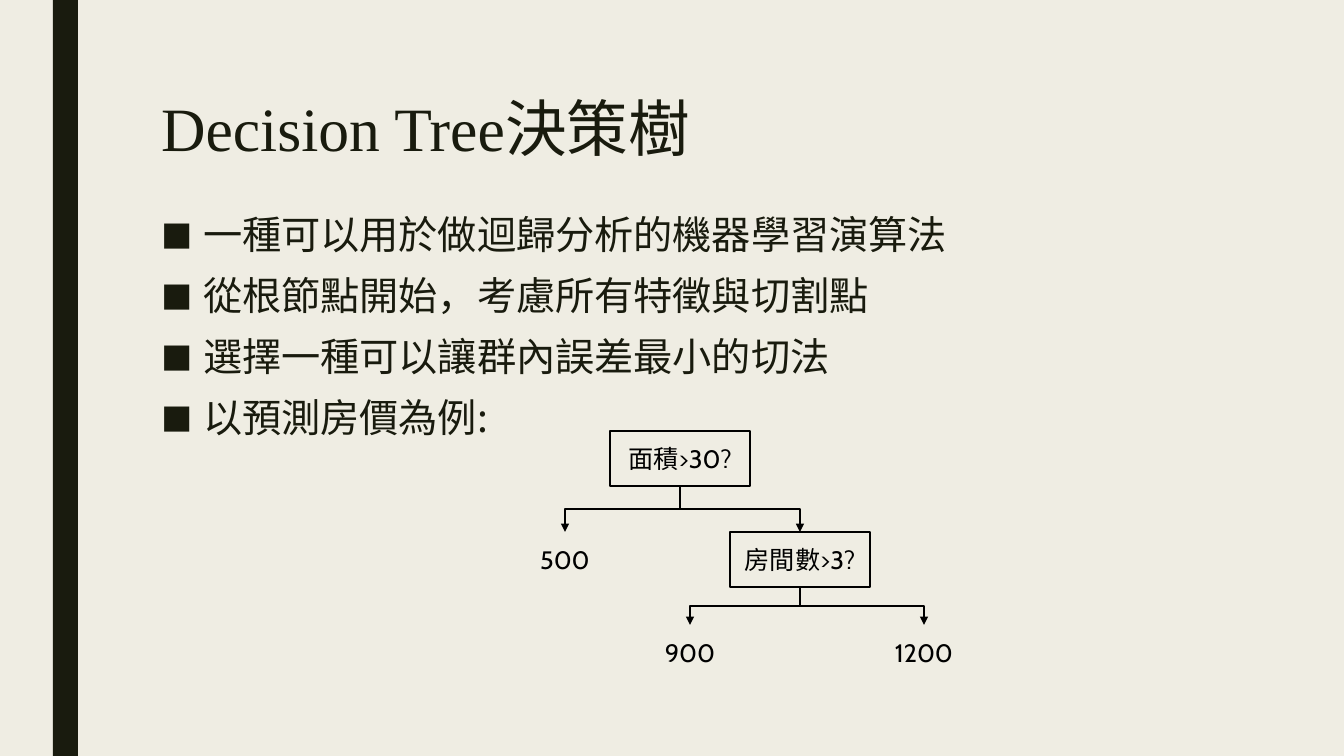
from lxml import etree
from pptx import Presentation
from pptx.dml.color import RGBColor
from pptx.enum.shapes import MSO_CONNECTOR, MSO_SHAPE
from pptx.enum.text import MSO_ANCHOR, MSO_AUTO_SIZE, PP_ALIGN
from pptx.oxml.ns import qn
from pptx.util import Emu, Pt

ELBOW, RECTANGLE = MSO_CONNECTOR.ELBOW, MSO_SHAPE.RECTANGLE
MIDDLE, TOP, NO_AUTOFIT = MSO_ANCHOR.MIDDLE, MSO_ANCHOR.TOP, MSO_AUTO_SIZE.NONE
LEFT, CENTER = PP_ALIGN.LEFT, PP_ALIGN.CENTER

CREAM = RGBColor(0xEF, 0xED, 0xE3)
INK = RGBColor(0x19, 0x1B, 0x0E)
BLACK = RGBColor(0, 0, 0)
SERIF, CJK, LABEL = "Times New Roman", "Noto Sans CJK SC", "Cabin"

SLIDE_WIDTH, SLIDE_HEIGHT = 1344, 756
NODE_WIDTH, NODE_HEIGHT = 140, 55
BOTTOM_SIDE, TOP_SIDE = 2, 0


def px(length):
    return Emu(round(length * 12192000 / SLIDE_WIDTH))


class TreeSlide:
    def __init__(self, deck):
        self.slide = deck.slides.add_slide(deck.slide_layouts[1])
        background = self.slide.background.fill
        background.solid()
        background.fore_color.rgb = CREAM

    def set_font(self, paragraph, size, latin, color):
        font = paragraph.font
        font.size, font.name = Pt(size), latin
        font.color.rgb = color
        east_asian = etree.Element(qn("a:ea"), typeface=CJK)
        paragraph._p.pPr.find(qn("a:defRPr")).find(qn("a:latin")).addnext(east_asian)

    def place(self, placeholder, left, top, width, height, anchor):
        placeholder.left, placeholder.top = px(left), px(top)
        placeholder.width, placeholder.height = px(width), px(height)
        frame = placeholder.text_frame
        frame.auto_size, frame.vertical_anchor = NO_AUTOFIT, anchor
        return frame

    def bar(self, left, width):
        bar = self.slide.shapes.add_shape(RECTANGLE, px(left), 0, px(width), px(SLIDE_HEIGHT))
        bar.shadow.inherit = False
        bar.fill.solid()
        bar.fill.fore_color.rgb = INK
        bar.line.fill.background()

    def title(self, text):
        frame = self.place(self.slide.shapes.title, 151, 76, 1142, 112, MIDDLE)
        frame.text = text
        heading = frame.paragraphs[0]
        heading.alignment, heading.line_spacing = LEFT, 0.89
        self.set_font(heading, 44, SERIF, INK)

    def bullets(self, points):
        frame = self.place(self.slide.placeholders[1], 151, 209, 1142, 514, TOP)
        frame.text = "\n".join(points)
        for index, point in enumerate(frame.paragraphs):
            point.alignment, point.line_spacing = LEFT, 0.94
            point.space_before, point.space_after = Pt(10 if index else 0), Pt(2)
            properties = point._p.get_or_add_pPr()
            properties.set("marL", str(px(42)))
            properties.set("indent", str(-px(42)))
            etree.SubElement(properties, qn("a:buSzPct"), val="80000")
            etree.SubElement(properties, qn("a:buFont"), typeface=CJK)
            etree.SubElement(properties, qn("a:buChar"), char="■")
            self.set_font(point, 28, CJK, INK)

    def node(self, text, center, top, boxed=False):
        area = px(center - NODE_WIDTH / 2), px(top), px(NODE_WIDTH), px(NODE_HEIGHT)
        if boxed:
            node = self.slide.shapes.add_shape(RECTANGLE, *area)
            node.shadow.inherit = False
            node.fill.background()
            node.line.color.rgb, node.line.width = BLACK, Pt(1.5)
        else:
            node = self.slide.shapes.add_textbox(*area)
        frame = node.text_frame
        frame.word_wrap, frame.vertical_anchor = True, MIDDLE
        frame.margin_left = frame.margin_right = 0
        frame.text = text
        frame.paragraphs[0].alignment = CENTER
        self.set_font(frame.paragraphs[0], 18, LABEL, BLACK)
        return node

    def branch(self, parent, child):
        """Draw an elbow arrow that leaves downwards and enters from above."""
        start_x, start_y = parent.left + parent.width // 2, parent.top + parent.height
        end_x, end_y = child.left + child.width // 2, child.top
        arrow = self.slide.shapes.add_connector(ELBOW, start_x, start_y, end_x, end_y)
        arrow.begin_connect(parent, BOTTOM_SIDE)
        arrow.end_connect(child, TOP_SIDE)

        # A quarter turn swaps the sides of the frame around its centre.
        run, drop = abs(end_x - start_x), end_y - start_y
        arrow.left = (start_x + end_x - drop) // 2
        arrow.top = (start_y + end_y - run) // 2
        arrow.width, arrow.height = drop, run
        goes_right = end_x > start_x
        transform = arrow.element.spPr.find(qn("a:xfrm"))
        transform.set("rot", str((270 if goes_right else 90) * 60000))
        transform.set("flipH", "1" if goes_right else "0")

        arrow.line.color.rgb, arrow.line.width = BLACK, Pt(1.5)
        etree.SubElement(arrow.line._get_or_add_ln(), qn("a:tailEnd"), type="triangle")
        etree.SubElement(arrow.element.spPr, qn("a:effectLst"))


def main():
    deck = Presentation()
    deck.slide_width, deck.slide_height = px(SLIDE_WIDTH), px(SLIDE_HEIGHT)
    page = TreeSlide(deck)
    page.bar(53, 25)
    page.title("Decision Tree決策樹")
    page.bullets([
        "一種可以用於做迴歸分析的機器學習演算法",
        "從根節點開始，考慮所有特徵與切割點",
        "選擇一種可以讓群內誤差最小的切法",
        "以預測房價為例:",
    ])

    area = page.node("面積>30?", 680, 431, boxed=True)
    rooms = page.node("房間數>3?", 800, 532, boxed=True)
    small = page.node("500", 565, 532)
    few_rooms = page.node("900", 690, 625)
    many_rooms = page.node("1200", 924, 625)
    for parent, children in ((area, (small, rooms)), (rooms, (few_rooms, many_rooms))):
        for child in children:
            page.branch(parent, child)
    deck.save("out.pptx")


if __name__ == "__main__":
    main()
